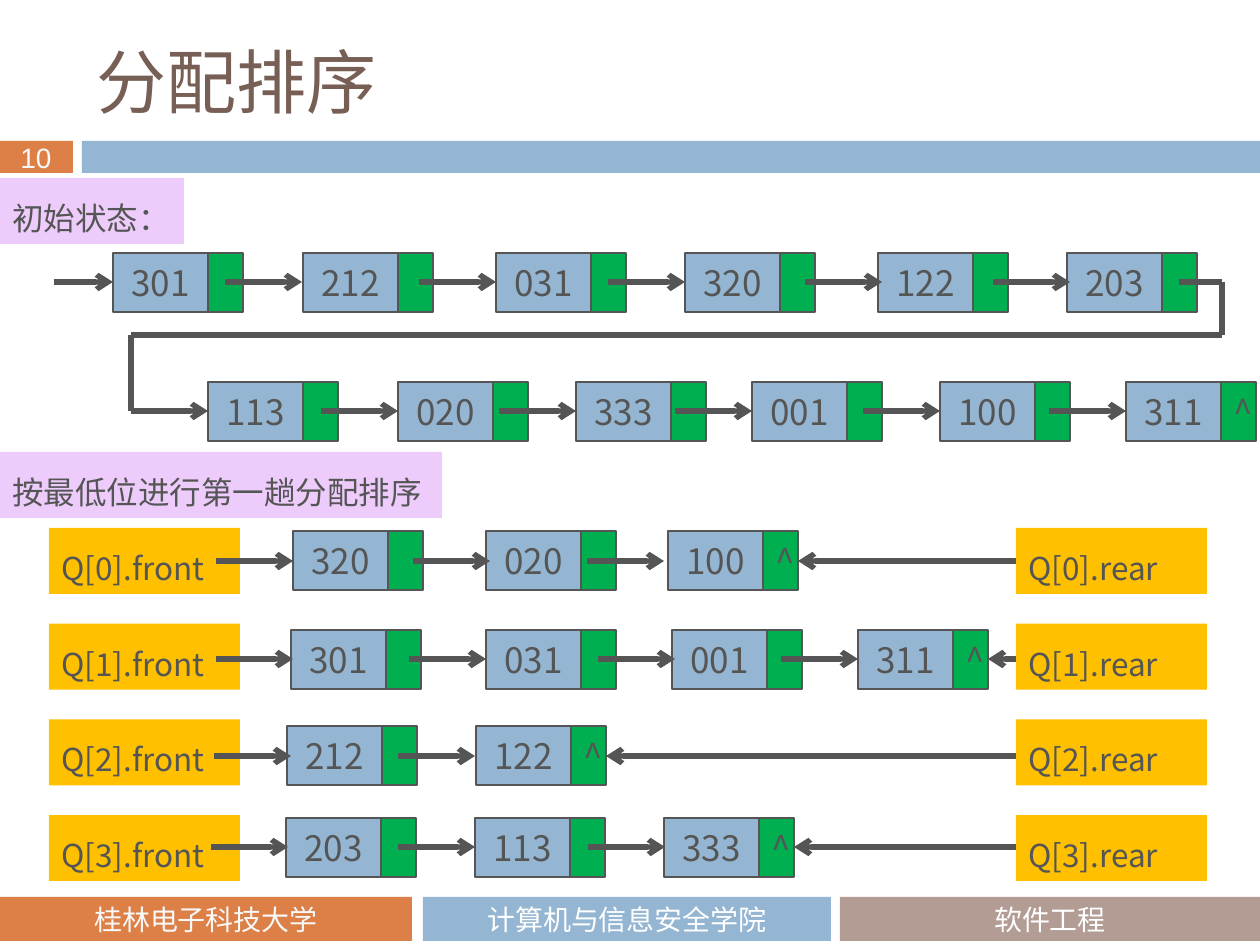
from lxml.etree import SubElement
from pptx import Presentation
from pptx.dml.color import RGBColor
from pptx.enum.shapes import MSO_CONNECTOR, MSO_SHAPE
from pptx.enum.text import MSO_ANCHOR, PP_ALIGN
from pptx.oxml.ns import qn
from pptx.util import Pt

COLORS = dict(orange="DD8047", blue="94B6D2", taupe="B29C93", white="FFFFFF", pale="F9F9F9",
              brown="775F55", ink="555555", lilac="EDCCFC", green="00B050", amber="FFC000")
SANS = "Noto Sans CJK SC"
TITLE = "分配排序"
PAGE = "10"
BANDS = [((0, 141, 73, 32), "orange"), ((82, 141, 1178, 32), "blue")]
FOOTER = [("桂林电子科技大学", 0, 412, "orange", "pale"),
          ("计算机与信息安全学院", 423, 408, "blue", "white"),
          ("软件工程", 840, 420, "taupe", "white")]
HEADINGS = [("初始状态：", 178, 184), ("按最低位进行第一趟分配排序", 452, 442)]

# Chains: node top, arrow level, then (key, node left, tip of the arrow leading to it)
START_TOP = (253, 282, [("301", 113, 113), ("212", 303, 302), ("031", 496, 496),
                        ("320", 685, 685), ("122", 878, 882), ("203", 1067, 1070)])
START_BOTTOM = (382, 411, [("113", 208, 208), ("020", 398, 398), ("333", 576, 576),
                           ("001", 752, 752), ("100", 940, 940), ("311", 1126, 1126)])
QUEUES = [
    (531, 561, [("320", 293, 293), ("020", 486, 490), ("100", 668, 664)]),
    (630, 659, [("301", 291, 293), ("031", 486, 486), ("001", 672, 675), ("311", 858, 858)]),
    (726, 756, [("212", 287, 291), ("122", 476, 475)]),
    (818, 847, [("203", 286, 288), ("113", 475, 475), ("333", 664, 665)]),
]
WRAP_LINE = [(1179, 282), (1222, 282), (1222, 335), (131, 335), (131, 411)]
KEY_W, POINTER_W, NODE_H = 95, 35, 59
ARROW_LEN, FIRST_ARROW_LEN = 77, 59
QUEUE_TOP, QUEUE_STEP, LABEL_W, LABEL_H = 528, 95.7, 191, 66
FRONT_LEFT, REAR_LEFT = 49, 1016


def px(length):
    return round(length * 914400 / 126)


def rgb(name):
    return RGBColor.from_string(COLORS[name])


def write(shape, text, size, color, font=SANS, east_asian=SANS, anchor=MSO_ANCHOR.TOP,
          align=PP_ALIGN.LEFT, spacing=None):
    frame = shape.text_frame
    frame.word_wrap = True
    frame.vertical_anchor = anchor
    paragraph = frame.paragraphs[0]
    paragraph.alignment = align
    if spacing:
        paragraph.line_spacing = Pt(spacing)
    run = paragraph.add_run()
    run.text = text
    for name, value in dict(size=Pt(size), name=font, bold=False).items():
        setattr(run.font, name, value)
    run.font.color.rgb = rgb(color)
    SubElement(run.font._element, qn("a:ea"), typeface=east_asian)


def add_box(place, fill, outlined=False):
    box = slide.shapes.add_shape(MSO_SHAPE.RECTANGLE, *map(px, place))
    box.shadow.inherit = False
    box.fill.solid()
    box.fill.fore_color.rgb = rgb(fill)
    if outlined:
        box.line.color.rgb = rgb("ink")
        box.line.width = Pt(0.75)
    else:
        box.line.fill.background()
    return box


def add_line(start, end, arrow=True):
    line = slide.shapes.add_connector(MSO_CONNECTOR.STRAIGHT, *map(px, start + end))
    line.line.color.rgb = rgb("ink")
    line.line.width = Pt(3)
    if arrow:
        SubElement(line.line._get_or_add_ln(), qn("a:tailEnd"), type="arrow")
    SubElement(line._element.spPr, qn("a:effectLst"))


def add_label(text, place, fill):
    write(add_box(place, fill), text, 18, "ink", spacing=30)


def add_chain(top, level, nodes, ends=True, first_len=ARROW_LEN):
    """Draw key and pointer cells, then the arrows over them; ends marks a null last pointer."""
    for key, left, _ in nodes:
        write(add_box((left, top, KEY_W, NODE_H), "blue", True), key, 20, "ink",
              anchor=MSO_ANCHOR.MIDDLE, align=PP_ALIGN.CENTER)
        pointer = add_box((left + KEY_W, top, POINTER_W, NODE_H), "green", True)
        if ends and left == nodes[-1][1]:
            write(pointer, "^", 20, "ink", anchor=MSO_ANCHOR.MIDDLE)
    for index, (_, _, tip) in enumerate(nodes):
        length = ARROW_LEN if index else first_len
        add_line((tip - length, level), (tip, level))


prs = Presentation()
prs.slide_width, prs.slide_height = px(1260), px(945)
slide = prs.slides.add_slide(prs.slide_layouts[5])

title = slide.shapes.title
for side, length in dict(left=84, top=32, width=1124, height=98).items():
    setattr(title, side, px(length))
write(title, TITLE, 40, "brown", "Noto Sans CJK JP", "Noto Sans CJK JP", MSO_ANCHOR.MIDDLE)

for place, fill in BANDS:
    add_box(place, fill)
page_number = slide.shapes.add_textbox(*map(px, (8, 134, 60, 47)))
write(page_number, PAGE, 16, "pale", "Arial")
for name, left, width, fill, color in FOOTER:
    write(add_box((left, 897, width, 44), fill), name, 16, color, "Cabin",
          anchor=MSO_ANCHOR.MIDDLE, align=PP_ALIGN.CENTER)

for heading, top, width in HEADINGS:
    add_label(heading, (0, top, width, LABEL_H), "lilac")

add_chain(*START_TOP, ends=False, first_len=FIRST_ARROW_LEN)
add_chain(*START_BOTTOM)
for start, end in zip(WRAP_LINE, WRAP_LINE[1:]):
    add_line(start, end, arrow=False)

for number, (top, level, nodes) in enumerate(QUEUES):
    label_top = QUEUE_TOP + number * QUEUE_STEP
    for end, left in (("front", FRONT_LEFT), ("rear", REAR_LEFT)):
        add_label(f"Q[{number}].{end}", (left, label_top, LABEL_W, LABEL_H), "amber")
    add_chain(top, level, nodes)
    add_line((REAR_LEFT, level), (nodes[-1][1] + KEY_W + POINTER_W, level))

prs.save("out.pptx")
